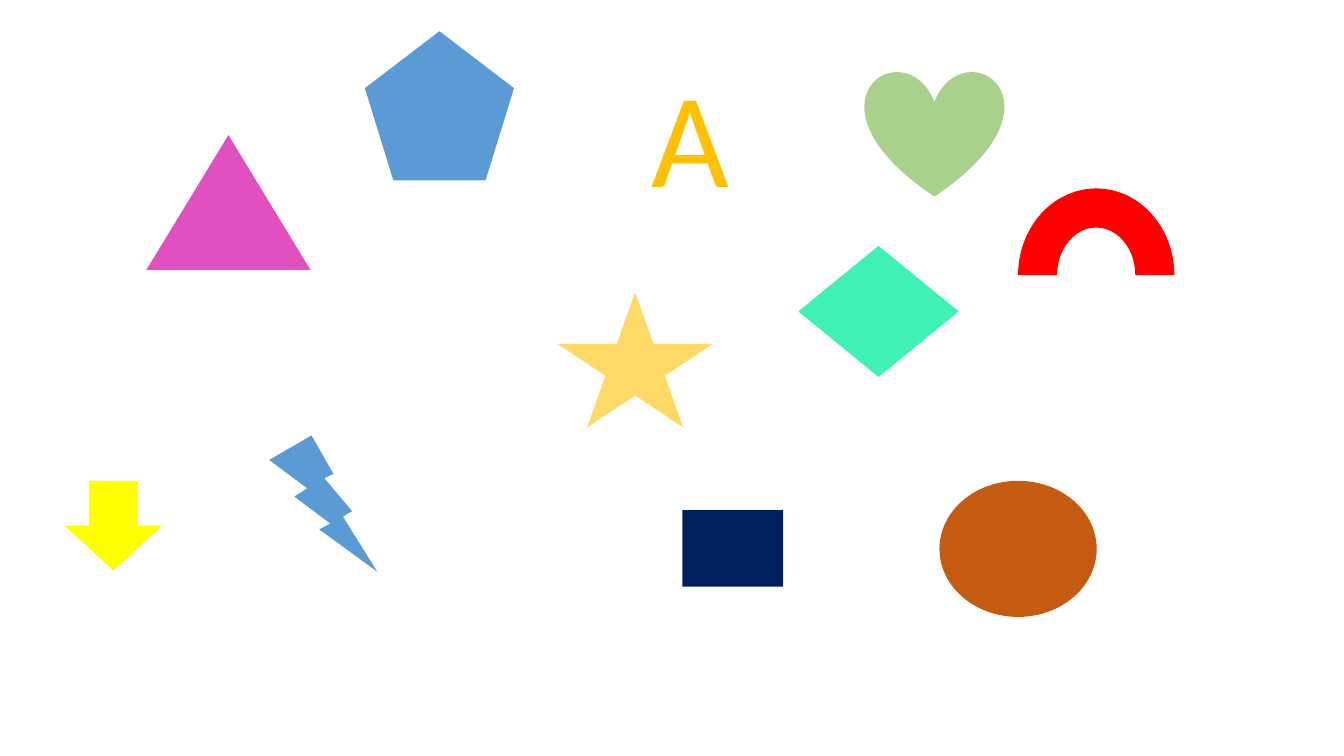
from dataclasses import dataclass

import pptx
import pptx.dml.color
import pptx.enum.shapes
import pptx.enum.text
import pptx.presentation
import pptx.slide
import pptx.util

RGBColor = pptx.dml.color.RGBColor
Geometry = pptx.enum.shapes.MSO_SHAPE

NAVY = RGBColor(0x00, 0x20, 0x60)
BROWN = RGBColor(0xC5, 0x5A, 0x11)
YELLOW = RGBColor(0xFF, 0xFF, 0x00)
PALE_GOLD = RGBColor(0xFF, 0xD9, 0x66)
PINK = RGBColor(0xE0, 0x50, 0xC1)
MINT = RGBColor(0x3F, 0xF1, 0xB6)
BLUE = RGBColor(0x5B, 0x9B, 0xD5)
GREEN = RGBColor(0xA9, 0xD1, 0x8E)
RED = RGBColor(0xFF, 0x00, 0x00)
GOLD = RGBColor(0xFF, 0xC0, 0x00)

SLIDE_WIDTH = pptx.util.Inches(13.33)
SLIDE_HEIGHT = pptx.util.Inches(7.5)


@dataclass(frozen=True)
class Box:
    """A frame in percent of the slide's width and height."""

    left: float
    top: float
    width: float
    height: float

    def lengths(self) -> tuple[int, int, int, int]:
        return (
            round(SLIDE_WIDTH * self.left / 100),
            round(SLIDE_HEIGHT * self.top / 100),
            round(SLIDE_WIDTH * self.width / 100),
            round(SLIDE_HEIGHT * self.height / 100),
        )


@dataclass(frozen=True)
class Figure:
    geometry: Geometry
    box: Box
    color: RGBColor


# Figures from back to front
FIGURES = [
    Figure(Geometry.RECTANGLE, Box(50.78, 67.47, 7.5, 10.13), NAVY),
    Figure(Geometry.OVAL, Box(69.9, 63.6, 11.7, 18), BROWN),
    Figure(Geometry.DOWN_ARROW, Box(4.8, 63.6, 7.28, 11.87), YELLOW),
    Figure(Geometry.STAR_5_POINT, Box(41.48, 38.67, 11.55, 17.87), PALE_GOLD),
    Figure(Geometry.ISOSCELES_TRIANGLE, Box(10.88, 17.87, 12.23, 17.87), PINK),
    Figure(Geometry.DIAMOND, Box(59.4, 32.53, 11.93, 17.33), MINT),
    Figure(Geometry.REGULAR_PENTAGON, Box(27.15, 4.13, 11.1, 19.73), BLUE),
    Figure(Geometry.LIGHTNING_BOLT, Box(20.03, 57.6, 8.03, 18), BLUE),
    Figure(Geometry.HEART, Box(64.35, 9.33, 10.35, 16.67), GREEN),
    Figure(Geometry.BLOCK_ARC, Box(75.75, 24.93, 11.63, 22.93), RED),
]
LETTER_BOX = Box(47.7, 6.4, 9.75, 22.93)


def draw_figure(slide: pptx.slide.Slide, figure: Figure) -> None:
    shape = slide.shapes.add_shape(figure.geometry, *figure.box.lengths())
    shape.shadow.inherit = False
    shape.fill.solid()
    shape.fill.fore_color.rgb = figure.color
    shape.line.fill.background()


def draw_text(slide: pptx.slide.Slide, box: Box, text: str, *,
              size: float, color: RGBColor, font: str = "Calibri") -> None:
    frame = slide.shapes.add_textbox(*box.lengths()).text_frame
    frame.word_wrap = True
    frame.auto_size = pptx.enum.text.MSO_AUTO_SIZE.SHAPE_TO_FIT_TEXT
    run = frame.paragraphs[0].add_run()
    run.text = text
    run.font.name = font
    run.font.size = pptx.util.Pt(size)
    run.font.color.rgb = color


def main() -> None:
    deck: pptx.presentation.Presentation = pptx.Presentation()
    deck.slide_width = SLIDE_WIDTH
    deck.slide_height = SLIDE_HEIGHT
    slide = deck.slides.add_slide(deck.slide_layouts[6])

    for figure in FIGURES:
        draw_figure(slide, figure)

    # Letter among the figures
    draw_text(slide, LETTER_BOX, "A", size=96, color=GOLD)

    deck.save("out.pptx")


if __name__ == "__main__":
    main()
